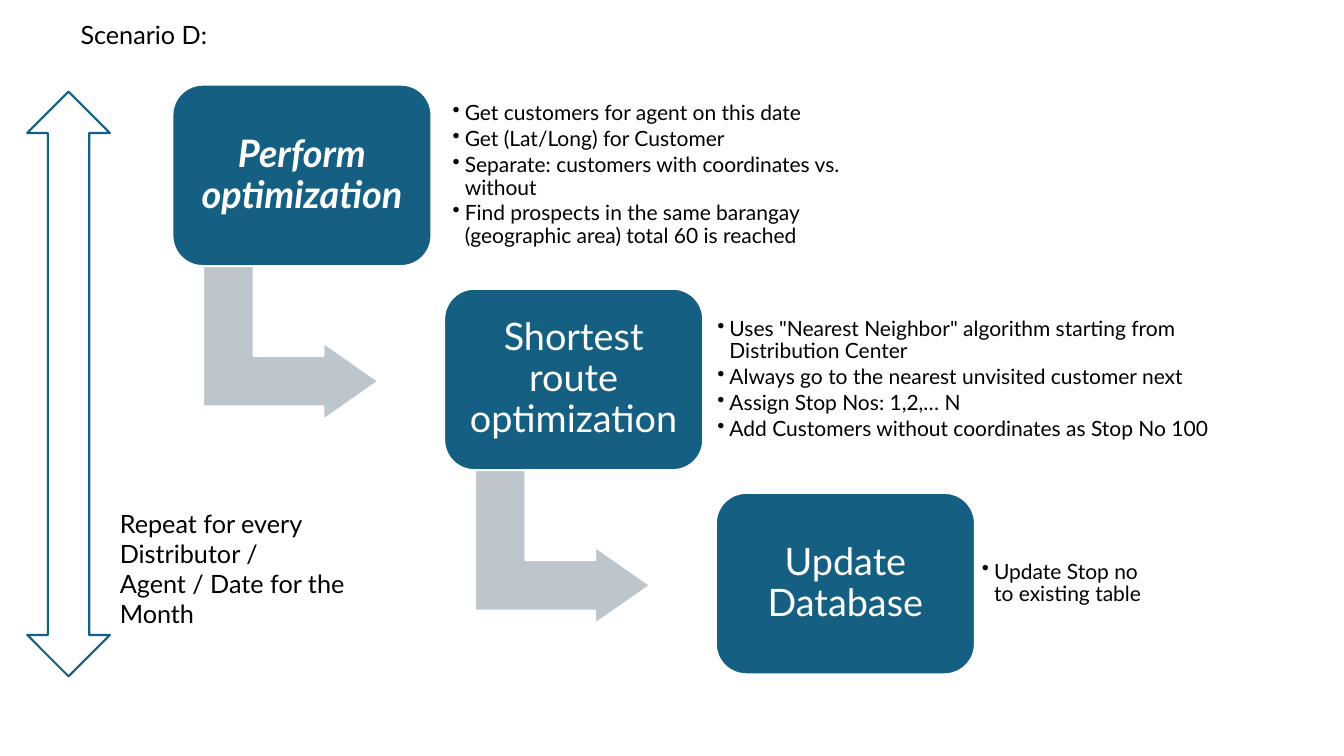
import dataclasses

import pptx
import pptx.dml.color
import pptx.enum.shapes
import pptx.enum.text
import pptx.oxml.xmlchemy
import pptx.util
from lxml import etree

Inches = pptx.util.Inches
Pt = pptx.util.Pt
SHAPES = pptx.enum.shapes.MSO_SHAPE
ANCHOR = pptx.enum.text.MSO_ANCHOR
ALIGN = pptx.enum.text.PP_ALIGN
DRAWING_NS = "{http://schemas.openxmlformats.org/drawingml/2006/main}"


@dataclasses.dataclass(frozen=True)
class Theme:
    """Hold the colours, font and type sizes of the slide."""
    accent: str = "156082"
    arrow: str = "BDC5CD"
    light: str = "FFFFFF"
    ink: str = "000000"
    font: str = "Lato"
    step_size: int = 27
    detail_size: int = 15
    note_size: int = 18
    outline: float = 1.5


@dataclasses.dataclass(frozen=True)
class Step:
    """Describe one step and the details shown beside it."""
    label: str
    details: tuple
    gap: float
    width: float
    height: float
    inset: float
    emphasis: bool = False


THEME = Theme()
STEPS = (
    Step("Perform optimization",
         ("Get customers for agent on this date",
          "Get (Lat/Long) for Customer",
          "Separate: customers with coordinates vs. without",
          "Find prospects in the same barangay (geographic area) total 60 is reached"),
         gap=0.13, width=4.21, height=1.85, inset=0.08, emphasis=True),
    Step("Shortest route optimization",
         ('Uses "Nearest Neighbor" algorithm starting from Distribution Center',
          "Always go to the nearest unvisited customer next",
          "Assign Stop Nos: 1,2,… N",
          "Add Customers without coordinates as Stop No 100"),
         gap=0.06, width=5.12, height=1.46, inset=0.08),
    Step("Update Database",
         ("Update Stop no to existing table",),
         gap=0.01, width=1.87, height=1.46, inset=0.06),
)
STEP_WIDTH, STEP_HEIGHT = 2.57, 1.8
STEP_RIGHT, STEP_DOWN = 2.695, 2.025


def apply_format(target, values):
    """Set each named format value on the target."""
    for name, value in values.items():
        setattr(target, name, value)


def rgb(value):
    """Turn a hex string into a colour."""
    return pptx.dml.color.RGBColor.from_string(value)


def write_text(frame, lines, size, colour, inset=None, font=None, paragraph=None, **frame_format):
    """Write the lines as paragraphs with one shared format."""
    apply_format(frame, {"word_wrap": True, **frame_format})
    if inset is not None:
        sides = ("left", "right", "top", "bottom")
        apply_format(frame, {f"margin_{side}": Inches(inset) for side in sides})
    for index, line in enumerate(lines):
        text = frame.paragraphs[0] if index == 0 else frame.add_paragraph()
        text.text = line
        apply_format(text, paragraph or {})
        apply_format(text.font, {"name": THEME.font, "size": Pt(size), **(font or {})})
        text.font.color.rgb = rgb(colour)
        for run in text.runs:
            apply_format(run.font, {"name": THEME.font, "size": Pt(size), **(font or {})})
            run.font.color.rgb = rgb(colour)


def add_block(slide, kind, box, fill, line, adjustments=()):
    """Add a flat filled shape in the given box."""
    block = slide.shapes.add_shape(kind, *map(Inches, box))
    block.shadow.inherit = False
    block.fill.solid()
    block.fill.fore_color.rgb = rgb(fill)
    block.line.color.rgb = rgb(line)
    block.line.width = Pt(THEME.outline)
    for index, value in enumerate(adjustments):
        block.adjustments[index] = value
    return block


def add_bullets(frame):
    """Give every paragraph a hanging bullet."""
    for paragraph in frame.paragraphs:
        properties = paragraph._p.get_or_add_pPr()
        properties.set("marL", str(Inches(0.12)))
        properties.set("indent", str(Inches(-0.12)))
        etree.SubElement(properties, DRAWING_NS + "buChar", char="•")


def add_turn_arrow(slide, left, top):
    """Add the bent arrow that leads down from a step at left, top."""
    arrow = add_block(slide, SHAPES.BENT_UP_ARROW, (left + 0.41, top + 1.69, 1.53, 1.74),
                      THEME.arrow, THEME.light, (0.328, 0.25, 0.358))
    arrow.rotation = 90


def add_step(slide, step, left, top):
    """Add a step box with its bulleted details on the right."""
    label = add_block(slide, SHAPES.ROUNDED_RECTANGLE, (left, top, STEP_WIDTH, STEP_HEIGHT),
                      THEME.accent, THEME.light, (0.167,))
    write_text(label.text_frame, [step.label], THEME.step_size, THEME.light, inset=0.11,
               font={"bold": step.emphasis, "italic": step.emphasis},
               paragraph={"alignment": ALIGN.CENTER, "line_spacing": 0.9},
               vertical_anchor=ANCHOR.MIDDLE)
    box = (left + STEP_WIDTH + step.gap, top + (STEP_HEIGHT - step.height) / 2,
           step.width, step.height)
    details = slide.shapes.add_textbox(*map(Inches, box)).text_frame
    write_text(details, step.details, THEME.detail_size, THEME.ink, inset=step.inset,
               paragraph={"line_spacing": 0.9, "space_after": Pt(2.25)},
               vertical_anchor=ANCHOR.MIDDLE)
    add_bullets(details)


def add_staircase(slide, left, top):
    """Add the steps descending to the right, joined by arrows."""
    for index, step in enumerate(STEPS):
        step_left, step_top = left + index * STEP_RIGHT, top + index * STEP_DOWN
        if index < len(STEPS) - 1:
            add_turn_arrow(slide, step_left, step_top)
        add_step(slide, step, step_left, step_top)


def add_note(slide, text, box):
    """Add a plain note in the given box."""
    note = slide.shapes.add_textbox(*map(Inches, box)).text_frame
    write_text(note, [text], THEME.note_size, THEME.ink,
               auto_size=pptx.enum.text.MSO_AUTO_SIZE.SHAPE_TO_FIT_TEXT)


def add_repeat_loop(slide, left, top):
    """Add the tall double arrow and the note on what repeats."""
    add_block(slide, SHAPES.UP_DOWN_ARROW, (left, top, 0.82, 5.8), THEME.light, THEME.accent)
    add_note(slide, "Repeat for every Distributor /\vAgent / Date for the Month",
             (left + 0.82, top + 4.08, 2.44, 1.01))


def main():
    """Build the scenario slide and save it."""
    deck = pptx.Presentation()
    apply_format(deck, {"slide_width": Inches(13.33), "slide_height": Inches(7.5)})
    slide = deck.slides.add_slide(deck.slide_layouts[6])
    add_staircase(slide, 1.71, 0.84)
    add_repeat_loop(slide, 0.27, 0.91)
    add_note(slide, "Scenario D:", (0.7, 0.14, 4.81, 0.4))
    deck.save("out.pptx")


if __name__ == "__main__":
    main()
